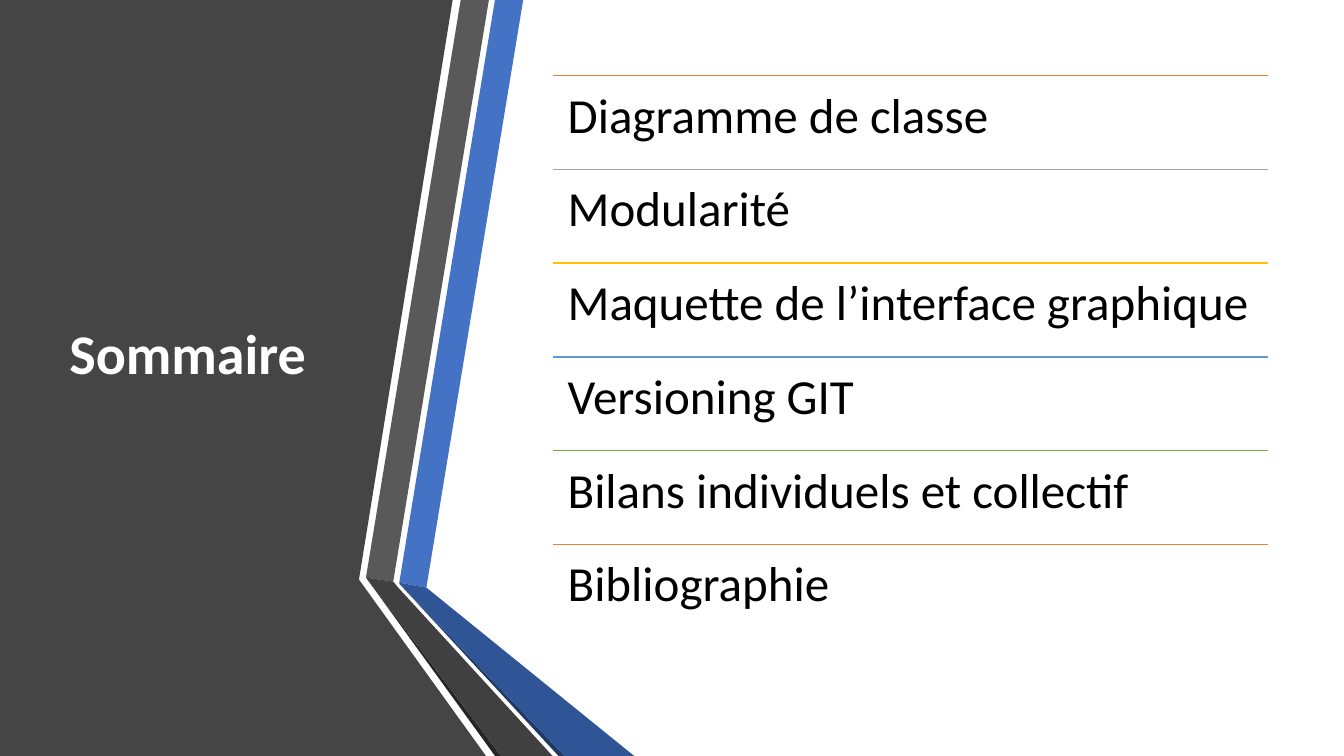
from dataclasses import dataclass

from lxml import etree
from pptx import Presentation
from pptx.dml.color import RGBColor
from pptx.enum.shapes import MSO_CONNECTOR
from pptx.enum.text import MSO_ANCHOR
from pptx.oxml.ns import qn
from pptx.util import Inches, Pt

STRAIGHT = MSO_CONNECTOR.STRAIGHT
TOP, MIDDLE = MSO_ANCHOR.TOP, MSO_ANCHOR.MIDDLE


@dataclass(frozen=True)
class Theme:
    """Colours, font and type sizes of the slide."""
    font: str = "Calibri"
    title_size: int = 40
    item_size: int = 35
    panel: str = "454545"
    light: str = "FFFFFF"
    text: str = "000000"
    blue: str = "4472C4"
    blue_fold: str = "2F5597"
    blue_edge: str = "203864"
    grey: str = "595959"
    grey_fold: str = "404040"
    grey_edge: str = "262626"
    rules: tuple = ("ED7D31", "A5A5A5", "FFC000", "5B9BD5", "70AD47")


THEME = Theme()

# Boxes are (left, top, width, height) in percent of the slide.
FULL = (0, 0, 100, 100)
TITLE_BOX = (4.43, 10, 22.81, 74.4)
LIST_BOX = (41.11, 10, 53.26, 74.4)

TITLE = "Sommaire"
ITEMS = ["Diagramme de classe", "Modularité", "Maquette de l’interface graphique",
         "Versioning GIT", "Bilans individuels et collectif", "Bibliographie"]

# Outlines are in percent of the box that holds them.
PANEL = [(0, 0), (33.68, 0), (26.71, 76.67), (36.16, 100), (0, 100)]
RIBBONS = [
    (THEME.blue, [(29.71, 77.07), (31.73, 77.73), (38.93, 0), (36.83, 0)]),
    (THEME.grey, [(36.38, 0), (34.28, 0), (27.23, 76.4), (29.26, 76.93)]),
    (THEME.grey_edge, [(27.23, 76.4), (36.83, 100), (37.28, 100)]),
    (THEME.blue_edge, [(29.71, 77.2), (41.56, 100), (42.01, 100)]),
    (THEME.blue_fold, [(29.71, 77.2), (42.01, 100), (47.19, 100),
                       (31.73, 77.73), (29.71, 77.07)]),
    (THEME.grey_fold, [(41.11, 100), (29.63, 77.73), (29.26, 76.93),
                       (27.23, 76.4), (37.28, 100)]),
]


def to_emu(prs, x, y):
    """Turn percent of the slide into slide units."""
    return round(prs.slide_width * x / 100), round(prs.slide_height * y / 100)


def add_outline(prs, slide, box, points, color):
    """Draw a filled polygon whose points are percent of the box."""
    left, top, width, height = box
    pts = [to_emu(prs, left + width * x / 100, top + height * y / 100)
           for x, y in points]
    builder = slide.shapes.build_freeform(*pts[0])
    builder.add_line_segments(pts[1:], close=True)
    sp = builder.convert_to_shape()
    sp.shadow.inherit = False
    sp.fill.solid()
    sp.fill.fore_color.rgb = RGBColor.from_string(color)
    sp.line.fill.background()


def add_text(prs, slide, box, text, size, color, anchor=TOP, bold=False, inset=None):
    """Add a one-paragraph text box and return its paragraph."""
    sp = slide.shapes.add_textbox(*to_emu(prs, *box[:2]), *to_emu(prs, *box[2:]))
    tf = sp.text_frame
    tf.word_wrap = True
    tf.vertical_anchor = anchor
    if inset is not None:
        tf.margin_left = tf.margin_right = tf.margin_top = tf.margin_bottom = inset
    p = tf.paragraphs[0]
    p.text = text
    p.line_spacing = 0.9
    p.font.name, p.font.size, p.font.bold = THEME.font, Pt(size), bold
    p.font.color.rgb = RGBColor.from_string(color)
    return p


def add_rule(prs, slide, left, top, width, color):
    """Draw a thin horizontal line."""
    line = slide.shapes.add_connector(
        STRAIGHT, *to_emu(prs, left, top), *to_emu(prs, left + width, top))
    line.line.width = Pt(1)
    line.line.color.rgb = RGBColor.from_string(color)
    etree.SubElement(line._element.spPr, qn("a:effectLst"))


def add_backdrop(prs, slide, box):
    """Draw the dark panel and the folded ribbons beside it."""
    for color, points in [(THEME.panel, PANEL), *RIBBONS]:
        add_outline(prs, slide, box, points, color)


def add_title(prs, slide, box):
    """Write the heading on the dark panel."""
    p = add_text(prs, slide, box, TITLE, THEME.title_size, THEME.light, MIDDLE, True)
    p.space_after = Pt(6)


def add_agenda(prs, slide, box):
    """Stack the items in equal rows, each under a coloured rule."""
    left, top, width, height = box
    row = height / len(ITEMS)
    for i, item in enumerate(ITEMS):
        y = top + i * row
        add_rule(prs, slide, left, y, width, THEME.rules[i % len(THEME.rules)])
        add_text(prs, slide, (left, y, width, row), item, THEME.item_size,
                 THEME.text, inset=Inches(0.15))


def main():
    """Build the agenda slide and save it."""
    prs = Presentation()
    prs.slide_width, prs.slide_height = Inches(13.33), Inches(7.5)
    slide = prs.slides.add_slide(prs.slide_layouts[6])
    add_backdrop(prs, slide, FULL)
    add_title(prs, slide, TITLE_BOX)
    add_agenda(prs, slide, LIST_BOX)
    prs.save("out.pptx")


main()
